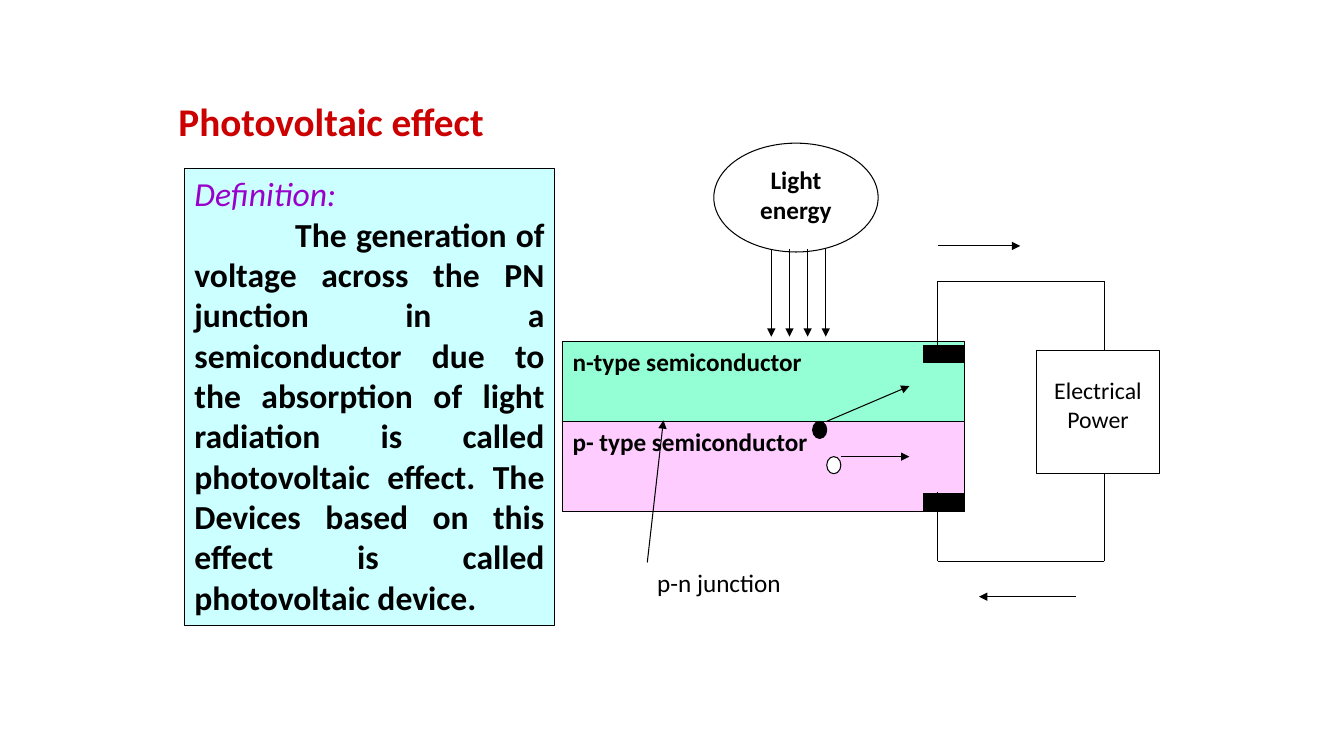
"""Builds a slide that explains the photovoltaic effect."""
from lxml import etree
from pptx import Presentation
from pptx.dml.color import RGBColor
from pptx.enum.shapes import MSO_CONNECTOR, MSO_SHAPE
from pptx.enum.text import MSO_ANCHOR, MSO_AUTO_SIZE, PP_ALIGN
from pptx.oxml.ns import qn
from pptx.util import Inches, Pt

RECT, OVAL = MSO_SHAPE.RECTANGLE, MSO_SHAPE.OVAL
LINE = MSO_CONNECTOR.STRAIGHT
TOP, FIXED = MSO_ANCHOR.TOP, MSO_AUTO_SIZE.NONE
LEFT, CENTER, JUSTIFY = PP_ALIGN.LEFT, PP_ALIGN.CENTER, PP_ALIGN.JUSTIFY

BLACK = RGBColor(0, 0, 0)
WHITE = RGBColor(255, 255, 255)
RED = RGBColor(0xCC, 0, 0)
PURPLE = RGBColor(0x99, 0, 0xCC)
CYAN = RGBColor(0xCC, 0xFF, 0xFF)
GREEN = RGBColor(0, 0xFF, 0x99)
PINK = RGBColor(0xFF, 0xCC, 0xFF)


class Sketch:
    """Holds the style and the current slide."""

    font = "Calibri"
    width = Pt(0.75)

    def __init__(self, deck):
        self.slide = deck.slides.add_slide(deck.slide_layouts[5])
        self.shapes = self.slide.shapes

    def style(self, para, size, color=BLACK, bold=False, italic=False, align=LEFT):
        para.alignment = align
        for run in para.runs:
            font = run.font
            font.name, font.size = self.font, Pt(size)
            font.bold, font.italic = bold, italic
            font.color.rgb = color

    def fill_text(self, shape, text, size, **look):
        frame = shape.text_frame
        frame.word_wrap, frame.auto_size = True, FIXED
        frame.vertical_anchor = TOP
        frame.text = text
        for para in frame.paragraphs:
            self.style(para, size, **look)
        return frame

    def title(self, text, box, size, **look):
        shape = self.shapes.title
        shape.left, shape.top, shape.width, shape.height = map(Inches, box)
        self.fill_text(shape, text, size, **look)

    def label(self, text, box, size):
        self.fill_text(self.shapes.add_textbox(*map(Inches, box)), text, size)

    def shape(self, kind, box, fill, alpha=None):
        shape = self.shapes.add_shape(kind, *map(Inches, box))
        shape.shadow.inherit = False
        shape.fill.solid()
        shape.fill.fore_color.rgb = fill
        shape.line.color.rgb = BLACK
        shape.line.width = self.width
        if alpha:
            tint = shape._element.spPr.find(qn("a:solidFill"))[0]
            etree.SubElement(tint, qn("a:alpha"), val=str(alpha * 1000))
        return shape

    def line(self, start, end, arrow=False):
        wire = self.shapes.add_connector(LINE, *map(Inches, start + end))
        wire.line.color.rgb = BLACK
        wire.line.width = self.width
        props = wire._element.spPr
        if arrow:
            etree.SubElement(props.find(qn("a:ln")), qn("a:tailEnd"), type="triangle")
        etree.SubElement(props, qn("a:effectLst"))

    def circuit(self, points):
        for start, end in zip(points, points[1:]):
            self.line(start, end)


def main():
    deck = Presentation()
    deck.slide_width, deck.slide_height = Inches(13.33), Inches(7.5)
    art = Sketch(deck)
    art.title("Photovoltaic effect", (1.67, 0.92, 5.08, 0.57), 28, color=RED, bold=True)

    panel = art.shape(RECT, (1.83, 1.67, 3.67, 4.54), CYAN)
    frame = art.fill_text(panel, "Definition:", 24, color=PURPLE, italic=True, align=JUSTIFY)
    para = frame.add_paragraph()
    para.text = (
        "The generation of voltage across the PN junction in a semiconductor "
        "due to the absorption of light radiation is called photovoltaic effect. "
        "The Devices based on this effect is called photovoltaic device."
    )
    art.style(para, 24, bold=True, align=JUSTIFY)
    para._p.get_or_add_pPr().set("indent", str(Inches(1)))

    light = art.shape(OVAL, (7.08, 1.42, 1.63, 1.08), WHITE)
    art.fill_text(light, "Light energy", 18, bold=True, align=CENTER)

    layers = (
        ("n-type semiconductor", 3.39, 0.84, GREEN, 42),
        ("p- type semiconductor", 4.18, 0.9, PINK, None),
    )
    for text, top, height, fill, alpha in layers:
        layer = art.shape(RECT, (5.58, top, 3.99, height), fill, alpha)
        art.fill_text(layer, text, 18, bold=True)

    for ray in range(4):
        x = 7.65 + ray * 0.18
        art.line((x, 2.47), (x, 3.34), arrow=True)

    for x, y, fill in ((8.2, 4.53, WHITE), (8.06, 4.18, BLACK)):
        art.shape(OVAL, (x, y, 0.14, 0.17), fill)
    for y in (3.43, 4.9):
        art.shape(RECT, (9.16, y, 0.41, 0.17), BLACK)

    load = art.shape(RECT, (10.28, 3.48, 1.22, 1.22), WHITE)
    art.fill_text(load, "Electrical Power", 17, align=CENTER).margin_top = Inches(0.25)

    art.circuit([(9.3, 3.48), (9.3, 2.79), (10.95, 2.79), (10.95, 3.48)])
    art.circuit([(9.3, 4.88), (9.3, 5.57), (10.95, 5.57), (10.95, 4.7)])

    arrows = (
        ((8.2, 4.18), (9.02, 3.83)),
        ((8.34, 4.53), (9.02, 4.53)),
        ((9.3, 2.44), (10.12, 2.44)),
        ((10.67, 5.92), (9.71, 5.92)),
        ((6.42, 5.58), (6.58, 4.17)),
    )
    for start, end in arrows:
        art.line(start, end, arrow=True)
    art.label("p-n junction", (6.42, 5.58, 2.33, 0.4), 18)

    deck.save("out.pptx")


if __name__ == "__main__":
    main()
